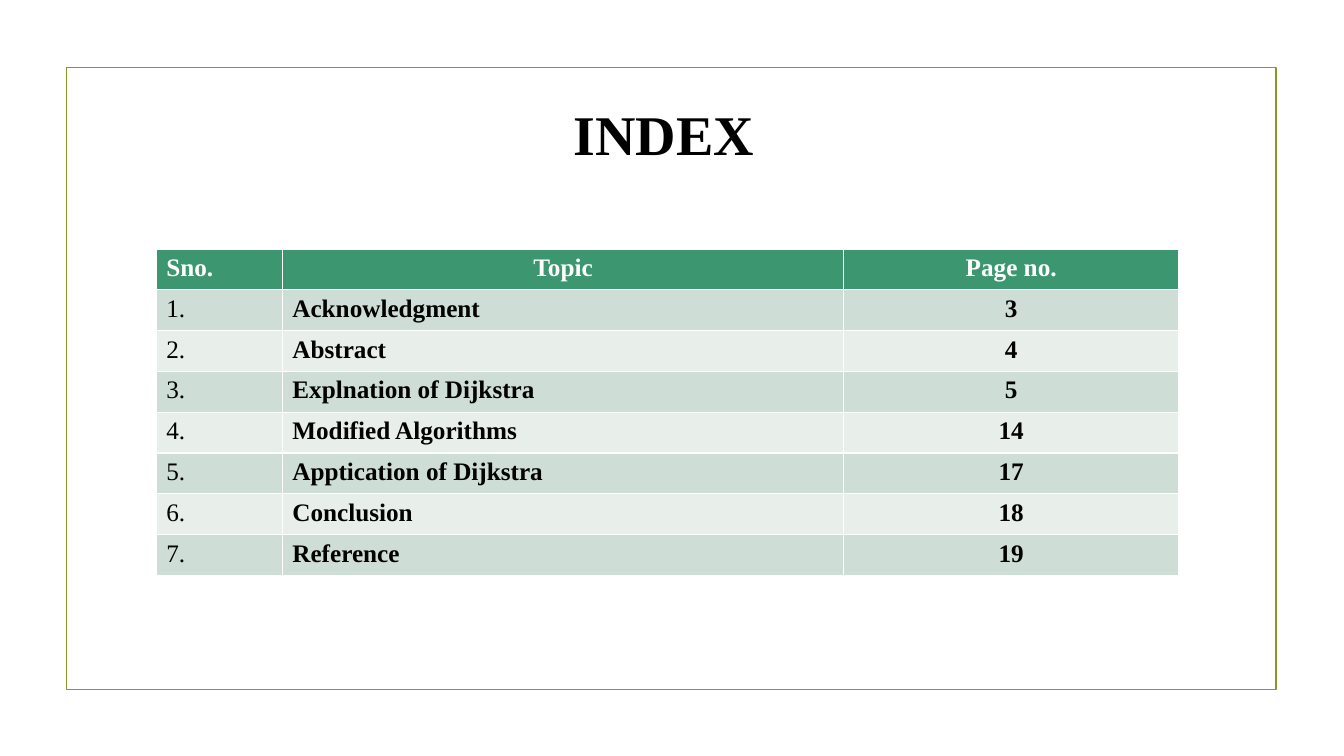
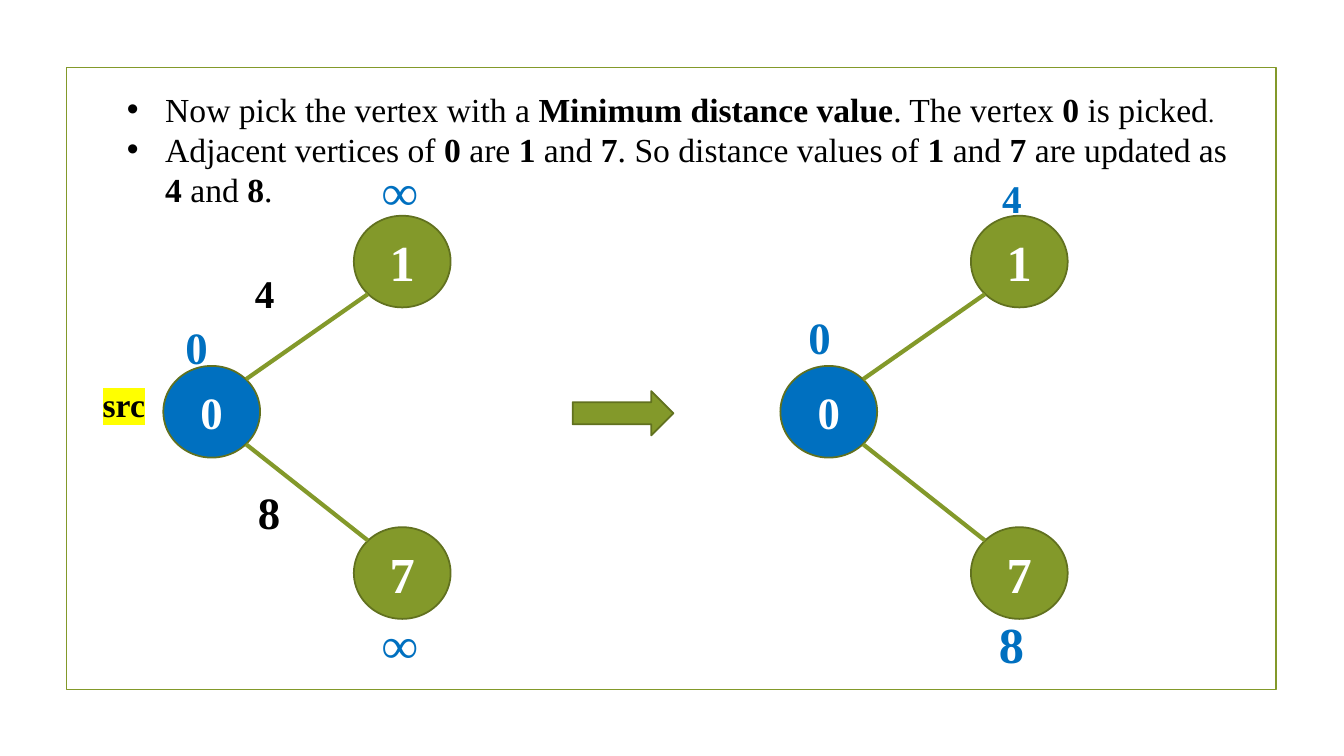
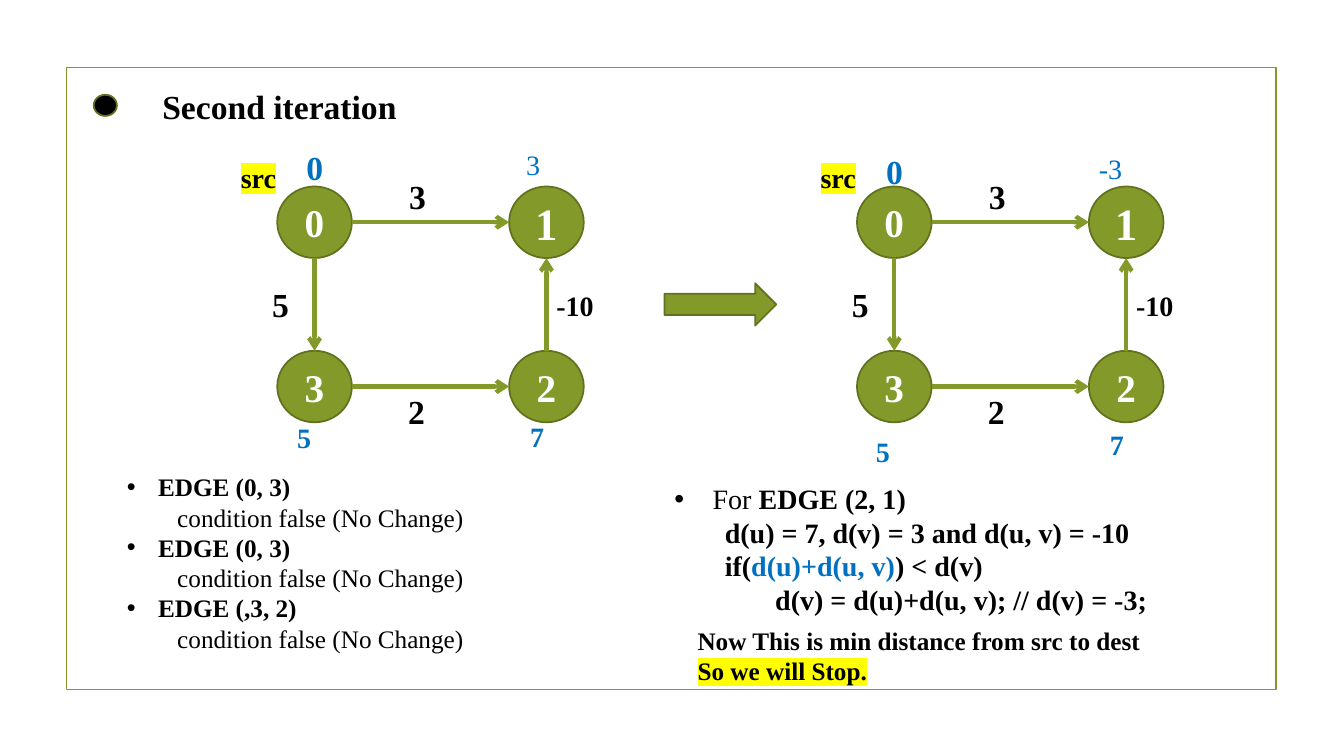
from dataclasses import dataclass

from pptx import Presentation
from pptx.dml.color import RGBColor
from pptx.enum.shapes import MSO_CONNECTOR, MSO_SHAPE
from pptx.enum.text import MSO_ANCHOR, MSO_AUTO_SIZE, PP_ALIGN
from pptx.oxml.ns import qn
from pptx.util import Inches, Pt
from lxml.etree import SubElement


@dataclass(frozen=True)
class Theme:
    font: str = "Times New Roman"
    olive: str = "83992A"
    moss: str = "61711F"
    blue: str = "0070C0"
    black: str = "000000"
    white: str = "FFFFFF"
    mark: str = "FFFF00"
    head: str = "3C9770"
    bands: tuple = ("CEDDD5", "E8EFEB")
    title: int = 40
    huge: int = 36
    large: int = 32
    big: int = 28
    mid: int = 24
    small: int = 20
    tiny: int = 18


THEME = Theme()
TITLE_ONLY, BLANK = 5, 6
DIAG = 0.71  # share of the radius at 45 degrees


def cells(*counts):
    """Lengths on a grid of 0.1 inch squares."""
    return [Inches(count / 10) for count in counts]


def rgb(code):
    return RGBColor.from_string(code)


# Text

def style(para, size, color=THEME.black, bold=False, align=PP_ALIGN.LEFT):
    font = para.font
    font.name, font.size, font.bold = THEME.font, Pt(size), bold
    font.color.rgb = rgb(color)
    para.alignment = align


def indent(para, left, bullet=False):
    """Indent by grid cells; a bullet hangs in the indent."""
    props = para._p.get_or_add_pPr()
    margin = cells(left)[0]
    props.set("marL", str(margin))
    props.set("indent", str(-margin if bullet else 0))
    if bullet:
        face = SubElement(props, qn("a:buFont"), typeface="Arial")
        sign = SubElement(props, qn("a:buChar"), char="•")
        props.insert(0, face)
        props.insert(1, sign)


def shade(run):
    """Mark a run with the highlight colour."""
    light = SubElement(run._r.get_or_add_rPr(), qn("a:highlight"))
    SubElement(light, qn("a:srgbClr"), val=THEME.mark)


def write(para, text, size, color=THEME.black, bold=False, tint=None,
          left=0, bullet=False, mark=False):
    """Text between stars is tinted, or bold if there is no tint."""
    style(para, size, color, bold)
    if left:
        indent(para, left, bullet)
    for turn, part in enumerate(text.split("*")):
        if not part:
            continue
        run = para.add_run()
        run.text = part
        if turn % 2 and tint:
            run.font.color.rgb = rgb(tint)
        elif turn % 2:
            run.font.bold = True
        if mark:
            shade(run)


def note(slide, at, size, *lines):
    """A text box; each line is a text and its options."""
    frame = slide.shapes.add_textbox(*cells(*at)).text_frame
    frame.word_wrap = True
    for row, (text, opts) in enumerate(lines):
        para = frame.add_paragraph() if row else frame.paragraphs[0]
        write(para, text, size, **opts)
    return frame


def label(slide, x, y, text, size, color=THEME.black, bold=True, mark=False):
    note(slide, (x, y, 8, size / 5), size,
         (text, dict(color=color, bold=bold, mark=mark)))


def title(slide, at, text, size):
    head = slide.shapes.title
    head.left, head.top, head.width, head.height = cells(*at)
    frame = head.text_frame
    frame.auto_size = MSO_AUTO_SIZE.NONE
    frame.vertical_anchor = MSO_ANCHOR.TOP
    write(frame.paragraphs[0], text, size, bold=True)


# Shapes

def draw(slide, kind, at, fill=None, line=THEME.moss):
    shape = slide.shapes.add_shape(kind, *cells(*at))
    shape.shadow.inherit = False
    if fill:
        shape.fill.solid()
        shape.fill.fore_color.rgb = rgb(fill)
    else:
        shape.fill.background()
    shape.line.color.rgb = rgb(line)
    shape.line.width = Pt(1.25)
    return shape


def node(slide, at, text, size, fill=THEME.olive):
    shape = draw(slide, MSO_SHAPE.OVAL, at, fill)
    frame = shape.text_frame
    frame.vertical_anchor = MSO_ANCHOR.MIDDLE
    para = frame.paragraphs[0]
    para.text = text
    style(para, size, THEME.white, True, PP_ALIGN.CENTER)
    return shape


def sign(gap):
    return (gap > 0) - (gap < 0)


def rim(shape, across, down):
    """Point on the edge of an oval in one of eight directions."""
    reach = DIAG if across and down else 1
    return (int(shape.left + shape.width / 2 * (1 + across * reach)),
            int(shape.top + shape.height / 2 * (1 + down * reach)))


def join(slide, start, end, arrow=False):
    across = sign(end.left - start.left)
    down = sign(end.top - start.top)
    link = slide.shapes.add_connector(
        MSO_CONNECTOR.STRAIGHT,
        *rim(start, across, down), *rim(end, -across, -down))
    link.line.color.rgb = rgb(THEME.olive)
    link.line.width = Pt(3)
    props = link.element.spPr
    if arrow:
        SubElement(props.find(qn("a:ln")), qn("a:tailEnd"), type="arrow")
    SubElement(props, qn("a:effectLst"))


def border(deck, slide):
    """Draw the frame once and hand it to the master."""
    box = draw(slide, MSO_SHAPE.RECTANGLE, (6.6, 6.7, 120, 61.7),
               line=THEME.olive).element
    box.nvSpPr.cNvPr.set("id", "20")
    deck.slide_master.shapes.element.append(box)


# Table

def grid(slide, at, widths, rows):
    shape = slide.shapes.add_table(len(rows), len(widths), *cells(*at))
    table = shape.table
    for col, width in zip(table.columns, cells(*widths)):
        col.width = width
    for r, row in enumerate(rows):
        for c, text in enumerate(row):
            cell = table.cell(r, c)
            cell.fill.solid()
            cell.fill.fore_color.rgb = rgb(
                THEME.bands[(r - 1) % 2] if r else THEME.head)
            para = cell.text_frame.paragraphs[0]
            para.text = text
            center = c == 2 or (r == 0 and c == 1)
            style(para, THEME.tiny, THEME.black if r else THEME.white,
                  r == 0 or c > 0,
                  PP_ALIGN.CENTER if center else PP_ALIGN.LEFT)


# Graphs

def fork(slide, x):
    """Vertex 0 with its neighbours 1 and 7."""
    size = (9.6, 9.1)
    one = node(slide, (x + 18.9, 21.4, *size), "1", THEME.huge)
    seven = node(slide, (x + 18.9, 52.3, *size), "7", THEME.huge)
    root = node(slide, (x, 36.3, *size), "0", THEME.large, THEME.blue)
    for leaf in (one, seven):
        join(slide, root, leaf)


def square(slide, x, costs):
    """Four vertices in a ring; costs are (x, y, text, size, bold)."""
    names = {"0": (0, 0), "1": (1, 0), "2": (1, 1), "3": (0, 1)}
    nodes = {
        name: node(slide, (x + col * 23, 18.5 + row * 16.3, 7.4, 7.1), name,
                   THEME.large if name == "1" else THEME.big)
        for name, (col, row) in names.items()}
    for start, end in ("01", "03", "32", "21"):
        join(slide, nodes[start], nodes[end], arrow=True)
    weights = ((12.1, 17, "3", THEME.mid), (12, 38.3, "2", THEME.mid),
               (-1.5, 27.7, "5", THEME.mid), (26.7, 28.1, "-10", THEME.small))
    for dx, y, text, size in weights:
        label(slide, x + dx, y, text, size)
    label(slide, x - 4.6, 15.4, "src", THEME.small, mark=True)
    for dx, y, text, size, bold in costs:
        label(slide, x + dx, y, text, size, THEME.blue, bold)


# Slides

def index(slide):
    title(slide, (55.9, 9.4, 21.5, 7.7), "INDEX", THEME.title)
    topics = (("Acknowledgment", 3), ("Abstract", 4),
              ("Explnation of Dijkstra", 5), ("Modified Algorithms", 14),
              ("Apptication of Dijkstra", 17), ("Conclusion", 18),
              ("Reference", 19))
    rows = [("Sno.", "Topic", "Page no.")]
    rows += [(f"{n}.", topic, str(page))
             for n, (topic, page) in enumerate(topics, 1)]
    grid(slide, (15.5, 24.7, 101.4, 32.4), (12.5, 55.7, 33.2), rows)


def pick(slide):
    point = dict(left=3.8, bullet=True)
    text = note(
        slide, (11.6, 8.3, 112.9, 13.1), THEME.mid,
        ("Now pick the vertex with a *Minimum distance value*. "
         "The vertex *0* is picked", point),
        ("Adjacent vertices of *0 *are *1* and *7*. So distance values of "
         "*1* and *7* are updated as *4 *and *8*.", point))
    stop = text.paragraphs[0].add_run()
    stop.text = "."
    stop.font.size = Pt(THEME.tiny)

    for x in (16.2, 77.4):
        fork(slide, x)
    draw(slide, MSO_SHAPE.RIGHT_ARROW, (56.8, 38.8, 10, 4.4), THEME.olive)

    # Edge weights and source
    label(slide, 24.3, 26.2, "4", THEME.big)
    label(slide, 24.6, 47.6, "8", THEME.large)
    label(slide, 9.2, 37.6, "src", THEME.mid, mark=True)
    # Distances before and after
    for x, y, cost, size in (
            (17.4, 31.2, "0", THEME.large), (36.9, 60.3, "∞", THEME.huge),
            (36.9, 15.4, "∞", THEME.huge), (79.2, 30.2, "0", THEME.large),
            (98.1, 60.3, "8", THEME.huge), (98.4, 16.8, "4", THEME.big)):
        label(slide, x, y, cost, size, THEME.blue)


def second(slide):
    title(slide, (15.1, 8, 28.3, 5), "Second iteration", THEME.mid)
    draw(slide, MSO_SHAPE.OVAL, (9.3, 9.4, 2.3, 2.1), THEME.black)

    small = THEME.small
    square(slide, 27.5, (
        (1.9, 14.1, "0", THEME.mid, True), (23.7, 14.1, "3", small, False),
        (1, 41.2, "5", small, True), (24.1, 41.1, "7", small, True)))
    square(slide, 85, (
        (1.9, 14.5, "0", THEME.mid, True), (23, 14.5, "-3", small, False),
        (0.9, 42.6, "5", small, True), (24.1, 41.9, "7", small, True)))
    draw(slide, MSO_SHAPE.RIGHT_ARROW, (65.9, 28.1, 11.1, 4.2), THEME.olive)

    # Edges without change
    lines = []
    for edge in ("EDGE (0, 3)", "EDGE (0, 3)", "EDGE (,3, 2)"):
        lines += [(edge, dict(left=3.1, bullet=True, bold=True)),
                  ("condition false (No Change)", dict(left=5))]
    note(slide, (11.6, 46.3, 51.6, 25.2), THEME.tiny, *lines)

    # Edge that lowers the distance
    step = dict(left=5, bold=True)
    note(slide, (65.9, 47.3, 60, 17.8), small,
         ("For *EDGE (2, 1)*", dict(left=3.8, bullet=True)),
         ("d(u) = 7, d(v) = 3 and d(u, v) = -10", step),
         ("if(*d(u)+d(u, v)*) < d(v)", dict(step, tint=THEME.blue)),
         ("d(v) = d(u)+d(u, v); // d(v) = -3;", dict(step, left=10)))
    note(slide, (68.2, 61.5, 51.8, 10.1), THEME.tiny,
         ("Now This is min distance from src to dest", dict(bold=True)),
         ("So we will Stop.", dict(bold=True, mark=True)))


def main():
    deck = Presentation()
    deck.slide_width, deck.slide_height = Inches(13.33), Inches(7.5)
    pages = ((index, TITLE_ONLY), (pick, BLANK), (second, TITLE_ONLY))
    for turn, (build, layout) in enumerate(pages):
        slide = deck.slides.add_slide(deck.slide_layouts[layout])
        if turn == 0:
            border(deck, slide)
        build(slide)
    deck.save("out.pptx")


if __name__ == "__main__":
    main()
